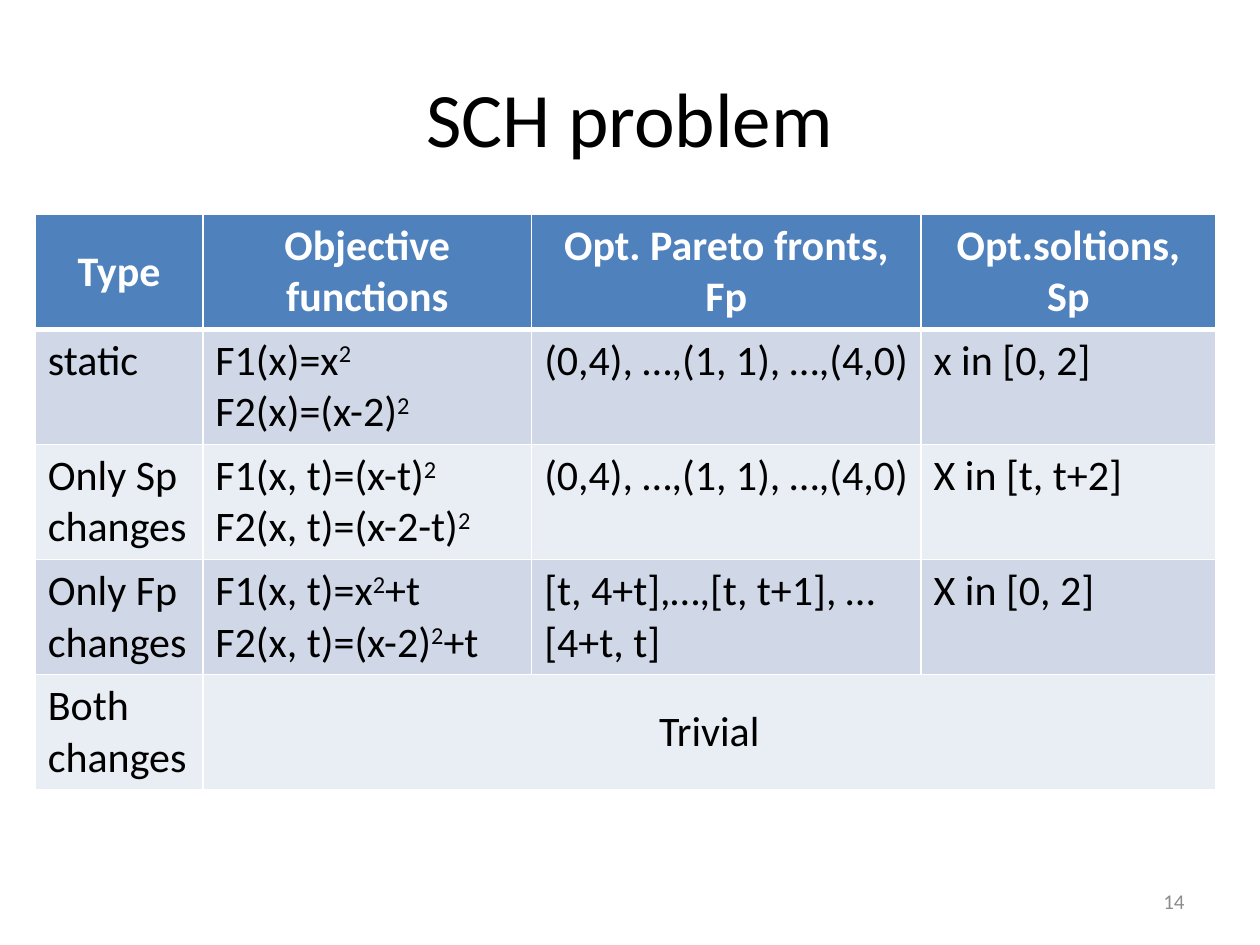
import pptx
import pptx.dml.color
import pptx.enum.text
import pptx.oxml
import pptx.oxml.ns
import pptx.util
from pptx.util import Inches

FONT = "Calibri"
COLORS = {
    "text": "000000",
    "white": "FFFFFF",
    "header": "4F81BD",
    "odd_row": "D0D8E8",
    "even_row": "E9EDF4",
    "number": "8C8C8C",
}
ALIGN = pptx.enum.text.PP_ALIGN
MIDDLE = pptx.enum.text.MSO_ANCHOR.MIDDLE

COLUMN_WIDTHS = [1.33, 2.61, 3.09, 2.34]
ROW_HEIGHT = 0.91
# A caret raises the one character after it; a line break starts a paragraph.
ROWS = [
    ["Type", "Objective functions", "Opt. Pareto fronts, Fp", "Opt.soltions, Sp"],
    ["static", "F1(x)=x^2\nF2(x)=(x-2)^2", "(0,4), …,(1, 1), …,(4,0)", "x in [0, 2]"],
    ["Only Sp changes", "F1(x, t)=(x-t)^2\nF2(x, t)=(x-2-t)^2",
     "(0,4), …,(1, 1), …,(4,0)", "X in [t, t+2]"],
    ["Only Fp changes", "F1(x, t)=x^2+t\nF2(x, t)=(x-2)^2+t",
     "[t, 4+t],…,[t, t+1], …[4+t, t]", "X in [0, 2]"],
    ["Both changes", "Trivial", "", ""],
]


def rgb(name):
    return pptx.dml.color.RGBColor.from_string(COLORS[name])


def add_run(paragraph, text, size, color, bold=False, raised=False):
    run = paragraph.add_run()
    run.text = text
    run.font.name = FONT
    run.font.size = pptx.util.Pt(size)
    run.font.bold = bold
    run.font.color.rgb = rgb(color)
    if raised:
        run._r.get_or_add_rPr().set("baseline", "30000")


def add_formula(paragraph, text, size, color, bold):
    base, *powers = text.split("^")
    add_run(paragraph, base, size, color, bold)
    for power in powers:
        add_run(paragraph, power[0], size, color, bold, raised=True)
        if power[1:]:
            add_run(paragraph, power[1:], size, color, bold)


def set_borders(cell, top, bottom):
    properties = cell._tc.get_or_add_tcPr()
    sides = [("lnL", 1), ("lnR", 1), ("lnT", top), ("lnB", bottom)]
    for position, (side, width) in enumerate(sides):
        line = pptx.oxml.parse_xml(
            f'<a:{side} {pptx.oxml.ns.nsdecls("a")} w="{pptx.util.Pt(width)}">'
            f'<a:solidFill><a:srgbClr val="{COLORS["white"]}"/></a:solidFill></a:{side}>'
        )
        properties.insert(position, line)


def fill_cell(cell, text, fill, color, bold, centered):
    cell.fill.solid()
    cell.fill.fore_color.rgb = rgb(fill)
    if centered:
        cell.vertical_anchor = MIDDLE
    if not text:
        return
    for index, line in enumerate(text.split("\n")):
        frame = cell.text_frame
        paragraph = frame.add_paragraph() if index else frame.paragraphs[0]
        paragraph.alignment = ALIGN.CENTER if centered else ALIGN.LEFT
        add_formula(paragraph, line, 24, color, bold)


def add_title(slide, text):
    title = slide.shapes.title
    title.left, title.top = Inches(0.5), Inches(0.3)
    title.width, title.height = Inches(9), Inches(1.25)
    title.text_frame.vertical_anchor = MIDDLE
    paragraph = title.text_frame.paragraphs[0]
    paragraph.alignment = ALIGN.CENTER
    add_run(paragraph, text, 44, "text")


def add_problem_table(slide):
    table = slide.shapes.add_table(
        len(ROWS), len(COLUMN_WIDTHS), Inches(0.28), Inches(1.7),
        Inches(sum(COLUMN_WIDTHS)), Inches(ROW_HEIGHT * len(ROWS)),
    ).table
    for column, width in zip(table.columns, COLUMN_WIDTHS):
        column.width = Inches(width)
    for row_index, texts in enumerate(ROWS):
        table.rows[row_index].height = Inches(ROW_HEIGHT)
        header = row_index == 0
        fill = "header" if header else ("odd_row" if row_index % 2 else "even_row")
        for column_index, text in enumerate(texts):
            cell = table.cell(row_index, column_index)
            fill_cell(cell, text, fill, "white" if header else "text", header,
                      centered=header or text == "Trivial")
            set_borders(cell, top=3 if row_index == 1 else 1, bottom=3 if header else 1)
    # "Trivial" spans the last three columns
    last_row = len(ROWS) - 1
    table.cell(last_row, 1).merge(table.cell(last_row, 3))


def add_slide_number(slide, text):
    box = slide.shapes.add_textbox(Inches(7.17), Inches(6.95), Inches(2.33), Inches(0.4))
    box.text_frame.word_wrap = True
    box.text_frame.vertical_anchor = MIDDLE
    paragraph = box.text_frame.paragraphs[0]
    paragraph.alignment = ALIGN.RIGHT
    add_run(paragraph, text, 12, "number")


def main():
    presentation = pptx.Presentation()
    presentation.slide_width = Inches(10)
    presentation.slide_height = Inches(7.5)
    slide = presentation.slides.add_slide(presentation.slide_layouts[5])
    add_title(slide, "SCH problem")
    add_problem_table(slide)
    add_slide_number(slide, "14")
    presentation.save("out.pptx")


if __name__ == "__main__":
    main()
